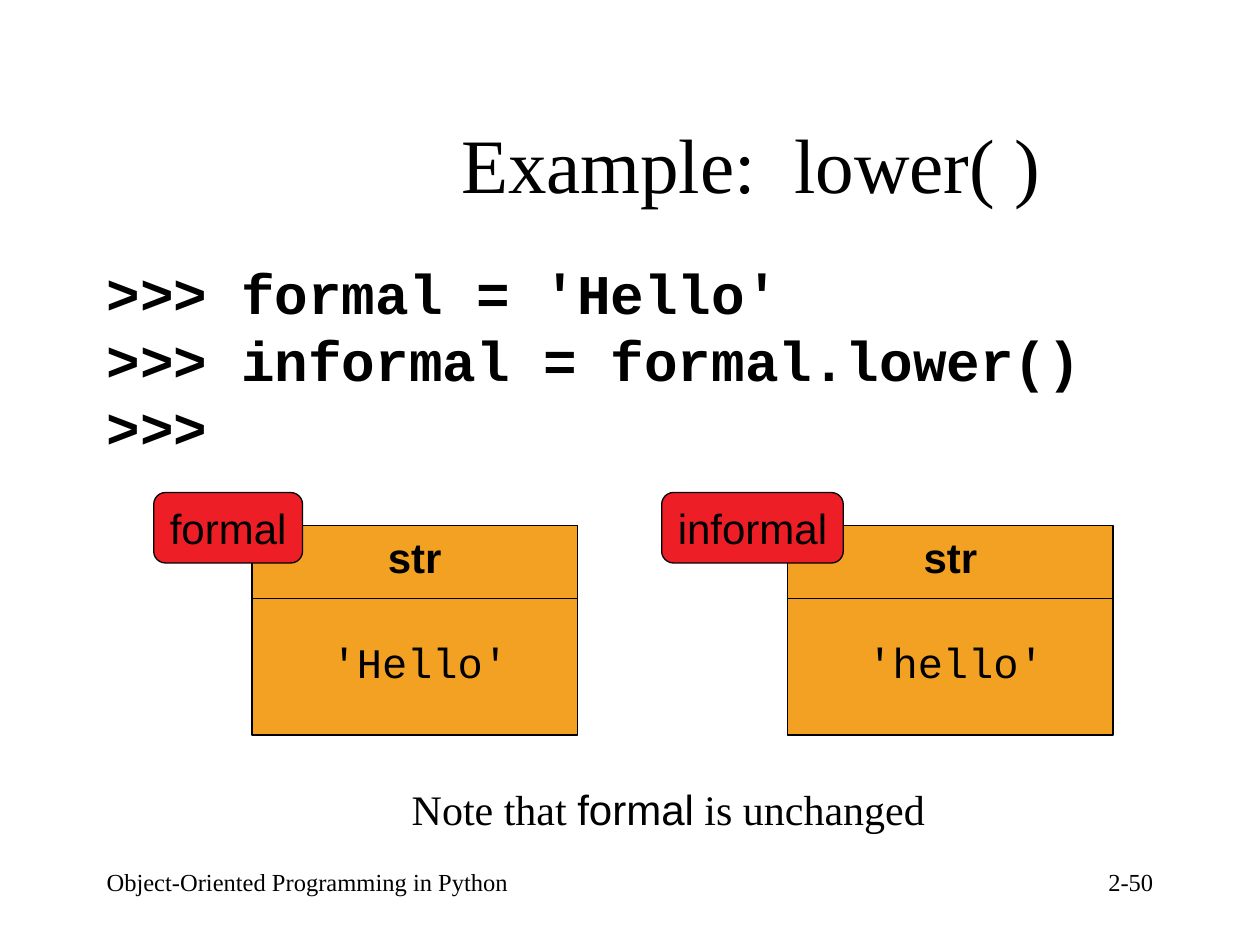
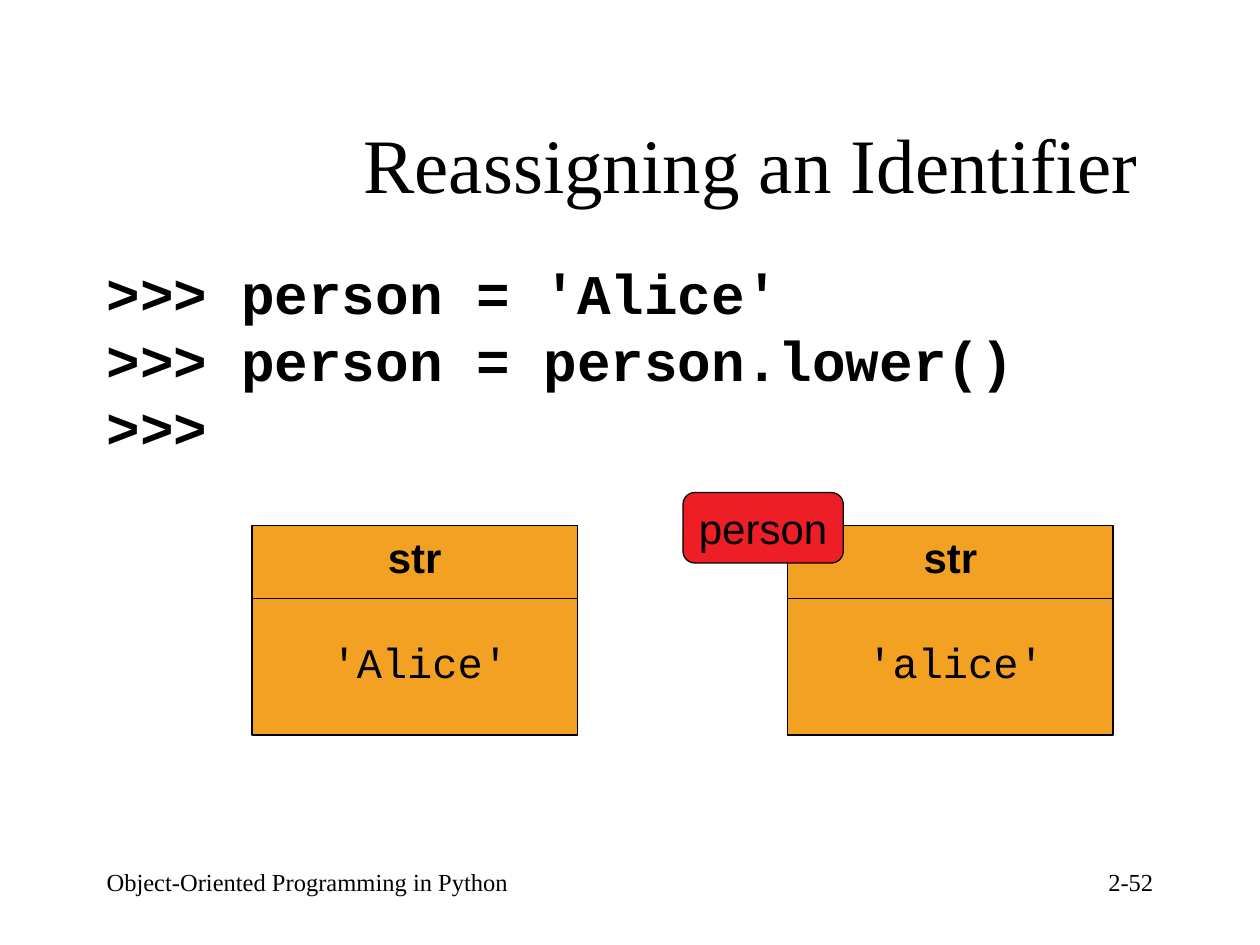
import dataclasses

import lxml.etree
import pptx
import pptx.dml.color
import pptx.enum.shapes
import pptx.enum.text
import pptx.oxml.ns
import pptx.util

Cm = pptx.util.Cm
Pt = pptx.util.Pt
ALIGN = pptx.enum.text.PP_ALIGN
ANCHOR = pptx.enum.text.MSO_ANCHOR
SHAPE = pptx.enum.shapes.MSO_SHAPE


@dataclasses.dataclass(frozen=True)
class Theme:
    ink: str = "000000"
    paper: str = "FFFFFF"
    object_fill: str = "F3A123"
    tag_fill: str = "EE1E26"
    serif: str = "Times New Roman"
    sans: str = "Arial"
    mono: str = "Courier New"
    title_size: int = 44
    code_size: int = 32
    label_size: int = 24
    footer_size: int = 14
    line_width: float = 0.75


THEME = Theme()
COURSE = "Object-Oriented Programming in Python"
OBJECT_LEFTS = (5.08, 15.88)
OBJECT_TOP, OBJECT_WIDTH, OBJECT_HEIGHT = 10.59, 6.56, 4.23
HEADER_HEIGHT = 1.48
VALUE_WIDTH, VALUE_HEIGHT = 3.81, 1.7
TAG_TOP, TAG_HEIGHT = 9.93, 1.42


def rgb(value):
    return pptx.dml.color.RGBColor.from_string(value)


def write(sp, text, font=THEME.serif, size=THEME.label_size, bold=False,
          align=ALIGN.LEFT, anchor=ANCHOR.TOP, wrap=False, grow=False):
    tf = sp.text_frame
    tf.word_wrap = wrap
    tf.vertical_anchor = anchor
    fit = pptx.enum.text.MSO_AUTO_SIZE
    tf.auto_size = fit.SHAPE_TO_FIT_TEXT if grow else fit.NONE
    paragraphs = [text] if isinstance(text, str) else text
    for i, content in enumerate(paragraphs):
        p = tf.add_paragraph() if i else tf.paragraphs[0]
        p.alignment = align
        runs = [(content, font)] if isinstance(content, str) else content
        for run_text, run_font in runs:
            r = p.add_run()
            r.text = run_text
            r.font.name = run_font
            r.font.size = Pt(size)
            r.font.bold = bold
            r.font.color.rgb = rgb(THEME.ink)


def add_text(s, left, top, width, height, text, **fmt):
    sp = s.shapes.add_textbox(Cm(left), Cm(top), Cm(width), Cm(height))
    write(sp, text, **fmt)


def style_line(line):
    line.color.rgb = rgb(THEME.ink)
    line.width = Pt(THEME.line_width)


def add_box(s, kind, left, top, width, height, fill, text, **fmt):
    sp = s.shapes.add_shape(kind, Cm(left), Cm(top), Cm(width), Cm(height))
    sp.shadow.inherit = False
    sp.fill.solid()
    sp.fill.fore_color.rgb = rgb(fill)
    style_line(sp.line)
    write(sp, text, font=THEME.sans, align=ALIGN.CENTER, **fmt)


def add_rule(s, left, y, width):
    line = s.shapes.add_connector(pptx.enum.shapes.MSO_CONNECTOR.STRAIGHT,
                                  Cm(left), Cm(y), Cm(left + width), Cm(y))
    style_line(line.line)
    lxml.etree.SubElement(line._element.spPr, pptx.oxml.ns.qn("a:effectLst"))


def add_object(s, left, value):
    add_box(s, SHAPE.RECTANGLE, left, OBJECT_TOP, OBJECT_WIDTH, OBJECT_HEIGHT,
            THEME.object_fill, "str", bold=True)
    add_rule(s, left, OBJECT_TOP + HEADER_HEIGHT, OBJECT_WIDTH)
    add_text(s, left + 1.48, 12.49, VALUE_WIDTH, VALUE_HEIGHT, value,
             font=THEME.mono, align=ALIGN.CENTER, anchor=ANCHOR.MIDDLE)


def add_tag(s, name, left, width):
    add_box(s, SHAPE.ROUNDED_RECTANGLE, left, TAG_TOP, width, TAG_HEIGHT,
            THEME.tag_fill, name, anchor=ANCHOR.MIDDLE, grow=True)


def add_code(s, lines, width):
    add_text(s, 1.9, 5.08, width, 4.32, lines, font=THEME.mono,
             size=THEME.code_size, bold=True, grow=True)


def add_slide(prs, title, number):
    s = prs.slides.add_slide(prs.slide_layouts[6])
    s.background.fill.solid()
    s.background.fill.fore_color.rgb = rgb(THEME.paper)
    add_text(s, 1.9, 17.35, 14.8, 1.27, COURSE,
             size=THEME.footer_size, wrap=True)
    add_text(s, 18.2, 17.35, 5.3, 1.27, number,
             size=THEME.footer_size, align=ALIGN.RIGHT, wrap=True)
    add_text(s, 6.78, 1.7, 16.72, 3.18, title, size=THEME.title_size,
             align=ALIGN.CENTER, anchor=ANCHOR.MIDDLE, wrap=True)
    return s


def add_objects(s, values, tags):
    for left, value in zip(OBJECT_LEFTS, values):
        add_object(s, left, value)
    for name, left, width in tags:
        add_tag(s, name, left, width)


def main():
    prs = pptx.Presentation()
    prs.slide_width, prs.slide_height = Cm(25.4), Cm(19.05)

    s = add_slide(prs, "Example:  lower( )", "2-50")
    add_code(s, [">>> formal = 'Hello'",
                 ">>> informal = formal.lower()",
                 ">>>"], 20.17)
    add_objects(s, ("'Hello'", "'hello'"),
                [("formal", 3.1, 3), ("informal", 13.34, 3.66)])
    note = [("Note that ", THEME.serif), ("formal", THEME.sans),
            (" is unchanged", THEME.serif)]
    add_text(s, 8.05, 15.67, 10.85, 1.27, [note], grow=True)

    s = add_slide(prs, "Reassigning an Identifier", "2-52")
    add_code(s, [">>> person = 'Alice'",
                 ">>> person = person.lower()",
                 ">>>"], 18.82)
    add_objects(s, ("'Alice'", "'alice'"), [("person", 13.77, 3.23)])

    prs.save("out.pptx")


if __name__ == "__main__":
    main()
